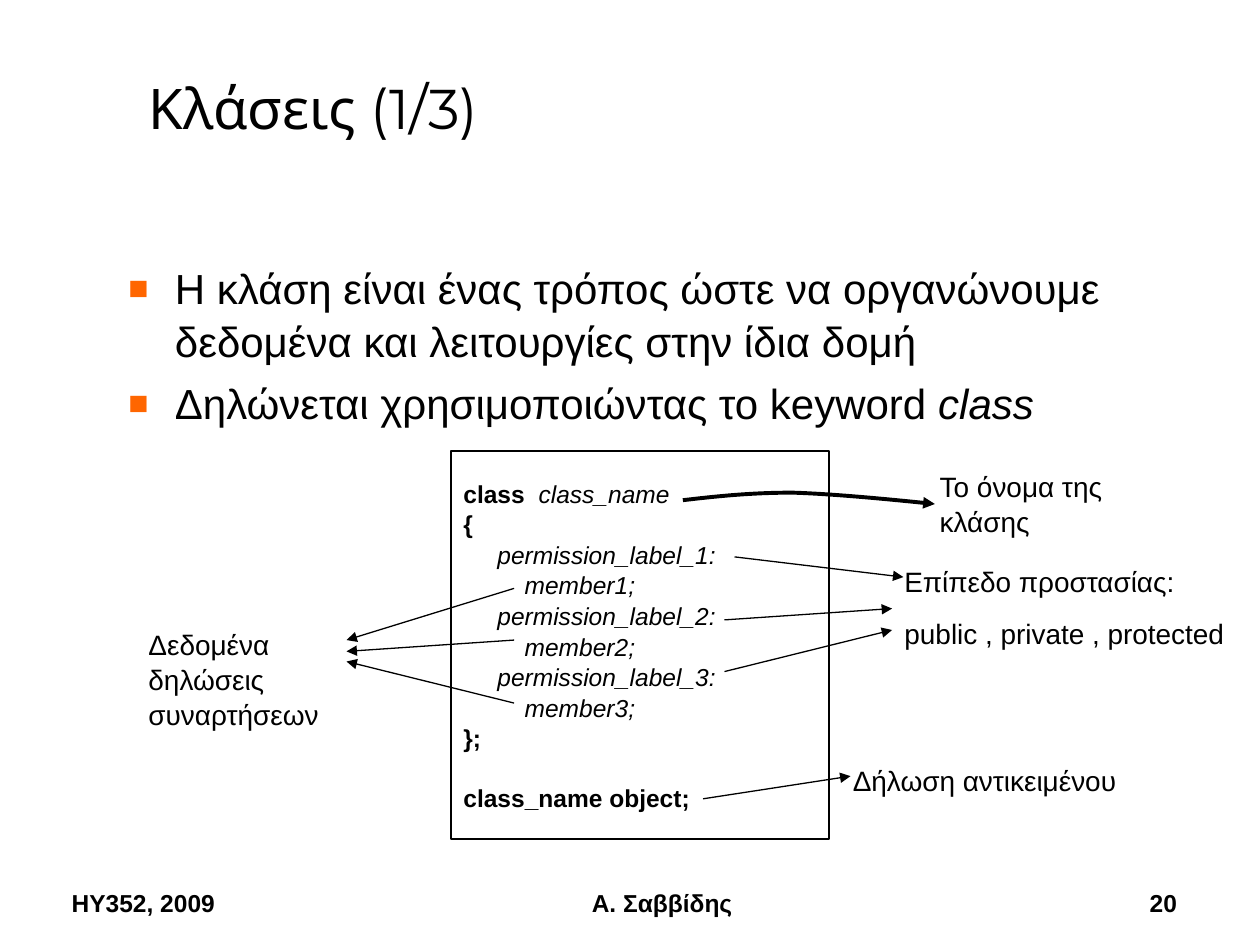
from dataclasses import dataclass, field

from lxml import etree
from pptx import Presentation
from pptx.dml.color import RGBColor
from pptx.enum.shapes import MSO_CONNECTOR, MSO_SHAPE
from pptx.enum.text import MSO_ANCHOR, PP_ALIGN
from pptx.oxml.ns import qn
from pptx.util import Inches, Pt

LEFT, MID, RIGHT = PP_ALIGN.LEFT, PP_ALIGN.CENTER, PP_ALIGN.RIGHT
TOP, CENTER, BOTTOM = MSO_ANCHOR.TOP, MSO_ANCHOR.MIDDLE, MSO_ANCHOR.BOTTOM
STRAIGHT, RECT = MSO_CONNECTOR.STRAIGHT, MSO_SHAPE.RECTANGLE


@dataclass(frozen=True)
class Theme:
    ink: RGBColor = RGBColor(0, 0, 0)
    paper: RGBColor = RGBColor(255, 255, 255)
    mark: str = "FF6600"
    head: str = "Montserrat"
    body: str = "Arial"
    title: int = 32
    point: int = 24
    label: int = 16
    code: int = 14
    pitch: float = 1.04
    thin: float = 0.75
    thick: float = 2.25


THEME = Theme()


@dataclass
class Run:
    text: str
    form: dict = field(default_factory=dict)


@dataclass
class Para:
    runs: list[Run]
    form: dict = field(default_factory=dict)


@dataclass
class Label:
    lines: list[str]
    box: tuple[float, float, float, float]
    size: int = THEME.label
    bold: bool = False
    align: int = LEFT
    anchor: int = TOP
    gap: float = 10


@dataclass
class Arrow:
    start: tuple[float, float]
    end: tuple[float, float]


BOLD, SLANT = {"bold": True}, {"italic": True}

POINTS = [
    [Run("Η κλάση είναι ένας τρόπος ώστε να οργανώνουμε "
         "δεδομένα και λειτουργίες στην ίδια δομή")],
    [Run("Δηλώνεται χρησιμοποιώντας το keyword "), Run("class", SLANT)],
]

MEMBERS = [
    Para([Run(text, SLANT)])
    for i in (1, 2, 3)
    for text in (f"     permission_label_{i}:", f"         member{i};")
]
CODE = [
    Para([Run("class  ", BOLD), Run("class_name", SLANT)]),
    Para([Run("{", BOLD)]),
    *MEMBERS,
    Para([Run("};", BOLD)]),
    Para([Run("class_name object;", BOLD)], {"space_before": Pt(16.8)}),
]

FOOT = {"size": THEME.code, "bold": True, "anchor": BOTTOM}
LABELS = [
    Label(["Το όνομα της κλάσης"], (7.36, 3.67, 2.08, 0.64)),
    Label(["Επίπεδο προστασίας:", "public , private , protected"],
          (7.08, 4.42, 2.9, 0.77)),
    Label(["Δεδομένα δηλώσεις συναρτήσεων"], (1.08, 4.92, 1.58, 0.9)),
    Label(["Δήλωση αντικειμένου"], (6.67, 6, 2.92, 0.37)),
    Label(["HY352, 2009"], (0.47, 6.83, 2.19, 0.5), **FOOT),
    Label(["Α. Σαββίδης"], (3.67, 6.83, 3.17, 0.5), align=MID, **FOOT),
    Label(["20"], (7.36, 6.83, 2.08, 0.5), align=RIGHT, **FOOT),
]

ARROWS = [
    # Permission labels
    Arrow((5.83, 4.42), (7.17, 4.58)),
    Arrow((5.75, 4.92), (7.08, 4.83)),
    Arrow((5.75, 5.33), (7.08, 5)),
    # Members
    Arrow((4.08, 4.67), (2.75, 5.08)),
    Arrow((4.08, 5.08), (2.75, 5.17)),
    Arrow((4.08, 5.58), (2.75, 5.25)),
    # Object
    Arrow((5.58, 6.34), (6.75, 6.16)),
]

# Start point, then three points for each Bezier part
CURVE = [(5.42, 3.97), (5.68, 3.94), (5.95, 3.91), (6.29, 3.91),
         (6.62, 3.92), (7.23, 3.98), (7.42, 4)]


def apply(target, form: dict) -> None:
    for name, value in form.items():
        setattr(target, name, value)


def place(shape, box: tuple) -> None:
    names = ("left", "top", "width", "height")
    apply(shape, dict(zip(names, map(Inches, box))))


def write(frame, paras: list[Para], size: int, face: str = THEME.body,
          bullet: bool = False) -> None:
    for i, item in enumerate(paras):
        para = frame.paragraphs[0] if i == 0 else frame.add_paragraph()
        apply(para, {"line_spacing": THEME.pitch, **item.form})
        if bullet:
            add_mark(para)
        for part in item.runs:
            run = para.add_run()
            run.text = part.text
            apply(run.font, {"name": face, "size": Pt(size), **part.form})
            run.font.color.rgb = THEME.ink


def add_mark(para) -> None:
    props = para._p.get_or_add_pPr()
    props.set("marL", str(Inches(0.37)))
    props.set("indent", str(-Inches(0.37)))
    tint = etree.SubElement(props, qn("a:buClr"))
    etree.SubElement(tint, qn("a:srgbClr"), val=THEME.mark)
    etree.SubElement(props, qn("a:buSzPct"), val="80000")
    etree.SubElement(props, qn("a:buFont"), typeface=THEME.body)
    etree.SubElement(props, qn("a:buChar"), char="■")


def add_text(slide, box: tuple, anchor: int = TOP):
    shape = slide.shapes.add_textbox(*map(Inches, box))
    apply(shape.text_frame, {"word_wrap": True, "vertical_anchor": anchor})
    return shape.text_frame


def add_label(slide, item: Label) -> None:
    paras = [
        Para([Run(text, {"bold": item.bold})],
             {"alignment": item.align, "space_before": Pt(item.gap if i else 0)})
        for i, text in enumerate(item.lines)
    ]
    write(add_text(slide, item.box, item.anchor), paras, item.size)


def add_tip(shape, width: float) -> None:
    shape.line.color.rgb = THEME.ink
    shape.line.width = Pt(width)
    etree.SubElement(shape.line._get_or_add_ln(), qn("a:tailEnd"), type="triangle")


def add_arrow(slide, item: Arrow) -> None:
    line = slide.shapes.add_connector(
        STRAIGHT, *map(Inches, (*item.start, *item.end)))
    add_tip(line, THEME.thin)
    etree.SubElement(line._element.spPr, qn("a:effectLst"))


def add_curve(slide, points: list[tuple]) -> None:
    first, *rest = [tuple(map(Inches, point)) for point in points]
    pen = slide.shapes.build_freeform(*first)
    pen.add_line_segments(rest, close=False)
    shape = pen.convert_to_shape()
    shape.shadow.inherit = False
    shape.fill.background()
    add_tip(shape, THEME.thick)
    # Turn each three straight parts into one Bezier part
    steps = list(shape._element.iter(qn("a:lnTo")))
    for i in range(0, len(steps), 3):
        bend = etree.SubElement(steps[i].getparent(), qn("a:cubicBezTo"))
        for step in steps[i:i + 3]:
            bend.append(step[0])
            step.getparent().remove(step)


def main() -> None:
    deck = Presentation()
    deck.slide_width, deck.slide_height = Inches(10), Inches(7.5)
    slide = deck.slides.add_slide(deck.slide_layouts[5])

    # Title
    title = slide.shapes.title
    place(title, (1.08, 0.17, 8.92, 1))
    title.text_frame.vertical_anchor = BOTTOM
    write(title.text_frame, [Para([Run("Κλάσεις (1/3)")], {"alignment": LEFT})],
          THEME.title, THEME.head)

    # Bullet points
    points = [Para(runs, {"space_before": Pt(6 if i else 0)})
              for i, runs in enumerate(POINTS)]
    write(add_text(slide, (0.92, 2.02, 8.58, 1.5)), points, THEME.point, bullet=True)

    # Code box
    box = slide.shapes.add_shape(RECT, *map(Inches, (3.58, 3.58, 3, 3.08)))
    box.shadow.inherit = False
    box.fill.solid()
    box.fill.fore_color.rgb = THEME.paper
    box.line.color.rgb = THEME.ink
    box.line.width = Pt(THEME.thin)
    apply(box.text_frame, {"word_wrap": False, "vertical_anchor": CENTER})
    for para in CODE:
        para.form["alignment"] = LEFT
    write(box.text_frame, CODE, THEME.code)

    # Notes around the code, and footer
    add_curve(slide, CURVE)
    for item in LABELS:
        add_label(slide, item)
    for item in ARROWS:
        add_arrow(slide, item)

    deck.save("out.pptx")


if __name__ == "__main__":
    main()
